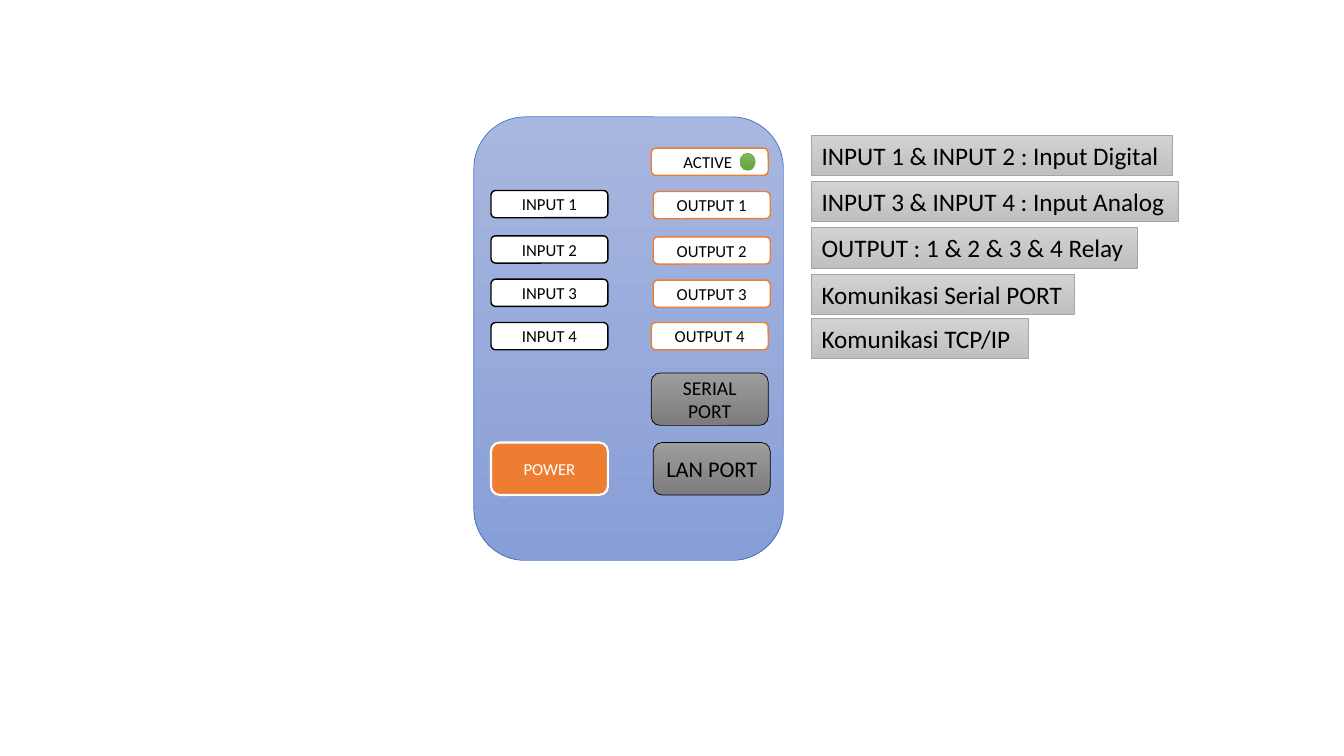
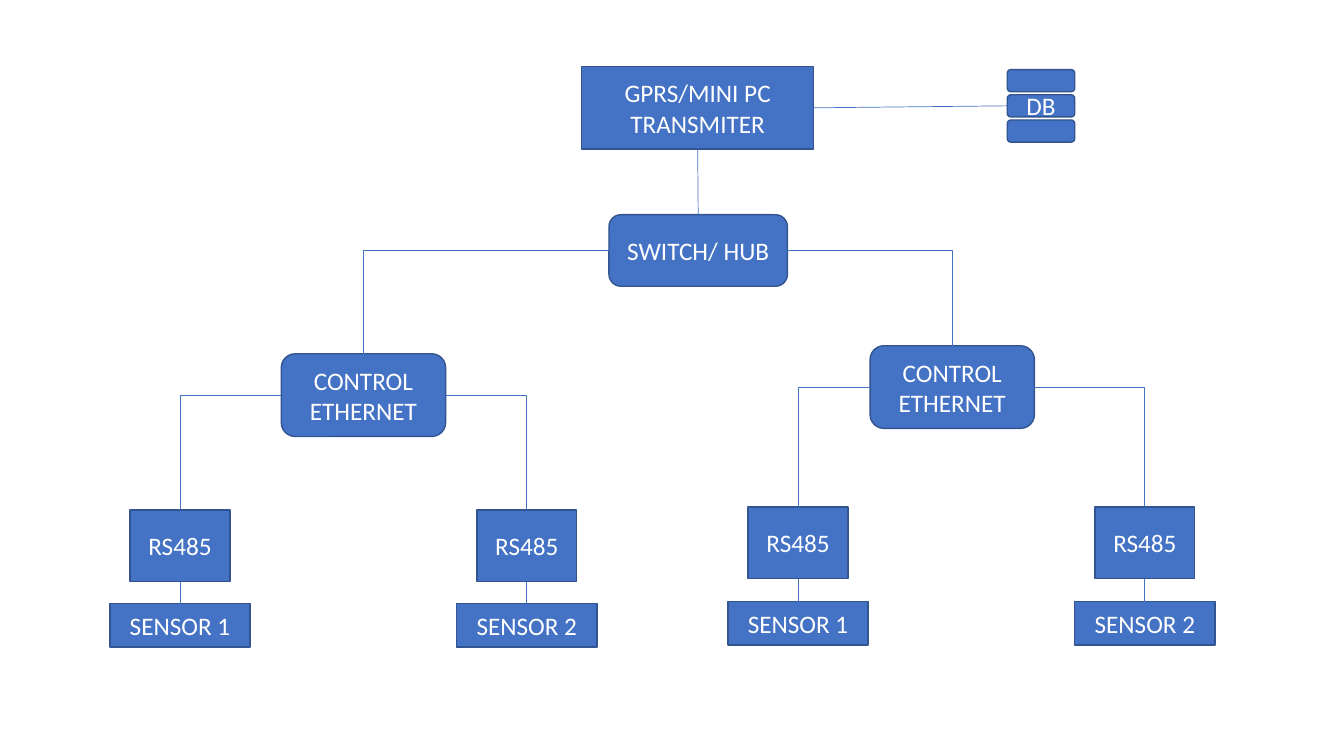
"""Build two slides: a controller front panel and its network diagram."""
from dataclasses import dataclass, replace

from lxml.etree import SubElement
from pptx import Presentation
from pptx.dml.color import RGBColor
from pptx.enum.shapes import MSO_CONNECTOR, MSO_SHAPE
from pptx.enum.text import MSO_ANCHOR, PP_ALIGN
from pptx.oxml.ns import qn
from pptx.shapes.autoshape import Shape
from pptx.shapes.shapetree import _BaseGroupShapes
from pptx.slide import Slide
from pptx.util import Emu, Pt

EMU_PER_PX = 9144
FONT = "Calibri"
COLORS = {
    "white": "FFFFFF", "black": "000000", "orange": "ED7D31",
    "blue": "4472C4", "navy": "325491", "green": "70AD47", "silver": "A5A5A5",
    "panel_top": "A8B7DF", "panel_bottom": "889ED7",
    "port_top": "9D9D9D", "port_bottom": "7C7C7C",
    "lamp_top": "81B861", "lamp_bottom": "62A336",
    "legend_top": "D2D2D2", "legend_bottom": "C0C0C0",
}
TOP, LEFT, BOTTOM, RIGHT = range(4)


@dataclass(frozen=True)
class Style:
    """Look of a box; two fill names make a vertical gradient."""
    fill: tuple[str, ...]
    line: str
    width: float
    text: str = "black"
    size: int = 12
    shape: MSO_SHAPE = MSO_SHAPE.ROUNDED_RECTANGLE
    label: bool = False


@dataclass(frozen=True)
class Frame:
    """Position and size in px."""
    left: int
    top: int
    width: int
    height: int


@dataclass(frozen=True)
class Branch:
    """A controller and the left edges of its two transceivers."""
    controller: Frame
    transceiver_top: int
    sensor_top: int
    transceiver_lefts: tuple[int, int]


PANEL = Style(("panel_top", "panel_bottom"), "blue", 0.5)
INPUT = Style(("white",), "black", 1)
OUTPUT = Style(("white",), "orange", 1)
POWER = Style(("orange",), "white", 1.5, "white")
PORT = Style(("port_top", "port_bottom"), "black", 0.5, size=16)
LAMP = Style(("lamp_top", "lamp_bottom"), "green", 0.5, shape=MSO_SHAPE.OVAL)
LEGEND = Style(("legend_top", "legend_bottom"), "silver", 0.5, size=18,
               shape=MSO_SHAPE.RECTANGLE, label=True)
NODE = Style(("blue",), "navy", 1, "white", 18)
BLOCK = replace(NODE, shape=MSO_SHAPE.RECTANGLE)

BUTTON_WIDTH, BUTTON_HEIGHT, PORT_HEIGHT = 116, 27, 52
INPUT_LEFT, OUTPUT_LEFT, OUTER_LEFT = 487, 648, 646
INPUT_TOPS = (189, 234, 277, 320)
OUTPUT_SPOTS = ((OUTPUT_LEFT, 190), (OUTPUT_LEFT, 235), (OUTPUT_LEFT, 278),
                (OUTER_LEFT, 320))
LEGENDS = (
    ("INPUT 1 & INPUT 2 : Input Digital", 134, 358),
    ("INPUT 3 & INPUT 4 : Input Analog", 180, 364),
    ("OUTPUT : 1 & 2 & 3 & 4 Relay", 226, 323),
    ("Komunikasi Serial PORT", 272, 261),
    ("Komunikasi TCP/IP", 316, 215),
)
BRANCHES = (
    Branch(Frame(279, 351, 163, 82), 506, 599, (129, 473)),
    Branch(Frame(863, 343, 163, 82), 503, 597, (742, 1086)),
)


def px(length: int) -> Emu:
    """Turn px into EMU."""
    return Emu(length * EMU_PER_PX)


def color(name: str) -> RGBColor:
    """Look up a named colour."""
    return RGBColor.from_string(COLORS[name])


def add_box(shapes: _BaseGroupShapes, style: Style, frame: Frame, text: str = "") -> Shape:
    """Draw one styled box with optional text."""
    box = shapes.add_shape(style.shape, px(frame.left), px(frame.top),
                           px(frame.width), px(frame.height))
    box.shadow.inherit = False
    if len(style.fill) == 1:
        box.fill.solid()
        box.fill.fore_color.rgb = color(style.fill[0])
    else:
        box.fill.gradient()
        box.fill.gradient_angle = 270
        for stop, name in zip(box.fill.gradient_stops, style.fill):
            stop.color.rgb = color(name)
    box.line.color.rgb = color(style.line)
    box.line.width = Pt(style.width)
    if text:
        text_frame = box.text_frame
        text_frame.word_wrap = not style.label
        text_frame.vertical_anchor = MSO_ANCHOR.TOP if style.label else MSO_ANCHOR.MIDDLE
        para = text_frame.paragraphs[0]
        para.text = text
        para.alignment = PP_ALIGN.LEFT if style.label else PP_ALIGN.CENTER
        para.font.name = FONT
        para.font.size = Pt(style.size)
        para.font.color.rgb = color(style.text)
    return box


def link(slide: Slide, start: Shape, start_site: int, end: Shape, end_site: int,
         bent: bool = False) -> None:
    """Join two boxes with a straight line or a single right-angle bend."""
    kind = MSO_CONNECTOR.ELBOW if bent else MSO_CONNECTOR.STRAIGHT
    line = slide.shapes.add_connector(kind, 0, 0, 0, 0)
    line.begin_connect(start, start_site)
    line.end_connect(end, end_site)
    line.line.color.rgb = color("blue")
    line.line.width = Pt(0.5)
    properties = line._element.spPr
    if bent:
        properties.find(qn("a:prstGeom")).set("prst", "bentConnector2")
    SubElement(properties, qn("a:effectLst"))


def build_panel(slide: Slide) -> None:
    """Draw the front panel and its legend."""
    shapes = slide.shapes
    add_box(shapes, PANEL, Frame(470, 116, 307, 440))
    for number, top in enumerate(INPUT_TOPS, 1):
        add_box(shapes, INPUT, Frame(INPUT_LEFT, top, BUTTON_WIDTH, BUTTON_HEIGHT),
                f"INPUT {number}")
    for number, (left, top) in enumerate(OUTPUT_SPOTS, 1):
        add_box(shapes, OUTPUT, Frame(left, top, BUTTON_WIDTH, BUTTON_HEIGHT),
                f"OUTPUT {number}")
    for style, left, top, text in (
        (PORT, OUTPUT_LEFT, 439, "LAN PORT"),
        (POWER, INPUT_LEFT, 439, "POWER"),
        (replace(PORT, size=14), OUTER_LEFT, 370, "SERIAL PORT"),
    ):
        add_box(shapes, style, Frame(left, top, BUTTON_WIDTH, PORT_HEIGHT), text)
    indicator = shapes.add_group_shape().shapes
    add_box(indicator, OUTPUT, Frame(OUTER_LEFT, 147, BUTTON_WIDTH, BUTTON_HEIGHT), "ACTIVE ")
    add_box(indicator, LAMP, Frame(734, 152, 15, 17))
    for text, top, width in LEGENDS:
        add_box(shapes, LEGEND, Frame(805, top, width, 40), text)


def build_branch(slide: Slide, branch: Branch, hub: Shape, hub_side: int) -> None:
    """Draw one controller with its transceivers and sensors."""
    shapes = slide.shapes
    controller = add_box(shapes, NODE, branch.controller, "CONTROL ETHERNET")
    link(slide, hub, hub_side, controller, TOP, bent=True)
    for number, (left, side) in enumerate(zip(branch.transceiver_lefts, (LEFT, RIGHT)), 1):
        transceiver = add_box(shapes, BLOCK, Frame(left, branch.transceiver_top, 99, 71), "RS485")
        sensor = add_box(shapes, BLOCK, Frame(left - 20, branch.sensor_top, 139, 43),
                         f"SENSOR {number}")
        link(slide, controller, side, transceiver, TOP, bent=True)
        link(slide, sensor, TOP, transceiver, BOTTOM)


def build_network(slide: Slide) -> None:
    """Draw the network from transmitter to sensors."""
    shapes = slide.shapes
    transmitter = add_box(shapes, BLOCK, Frame(577, 66, 230, 82), "GPRS/MINI PC TRANSMITER")
    hub = add_box(shapes, NODE, Frame(604, 213, 177, 71), "SWITCH/ HUB")
    link(slide, hub, TOP, transmitter, BOTTOM)
    for branch, side in zip(BRANCHES, (LEFT, RIGHT)):
        build_branch(slide, branch, hub, side)
    disks = [add_box(shapes, NODE, Frame(999, 69 + 25 * row, 67, 22), text)
             for row, text in enumerate(("", "DB", ""))]
    link(slide, transmitter, RIGHT, disks[1], LEFT)


def main() -> None:
    """Build and save the deck."""
    deck = Presentation()
    deck.slide_width, deck.slide_height = px(1333), px(750)
    blank = deck.slide_layouts[6]
    for build in (build_panel, build_network):
        build(deck.slides.add_slide(blank))
    deck.save("out.pptx")


if __name__ == "__main__":
    main()
